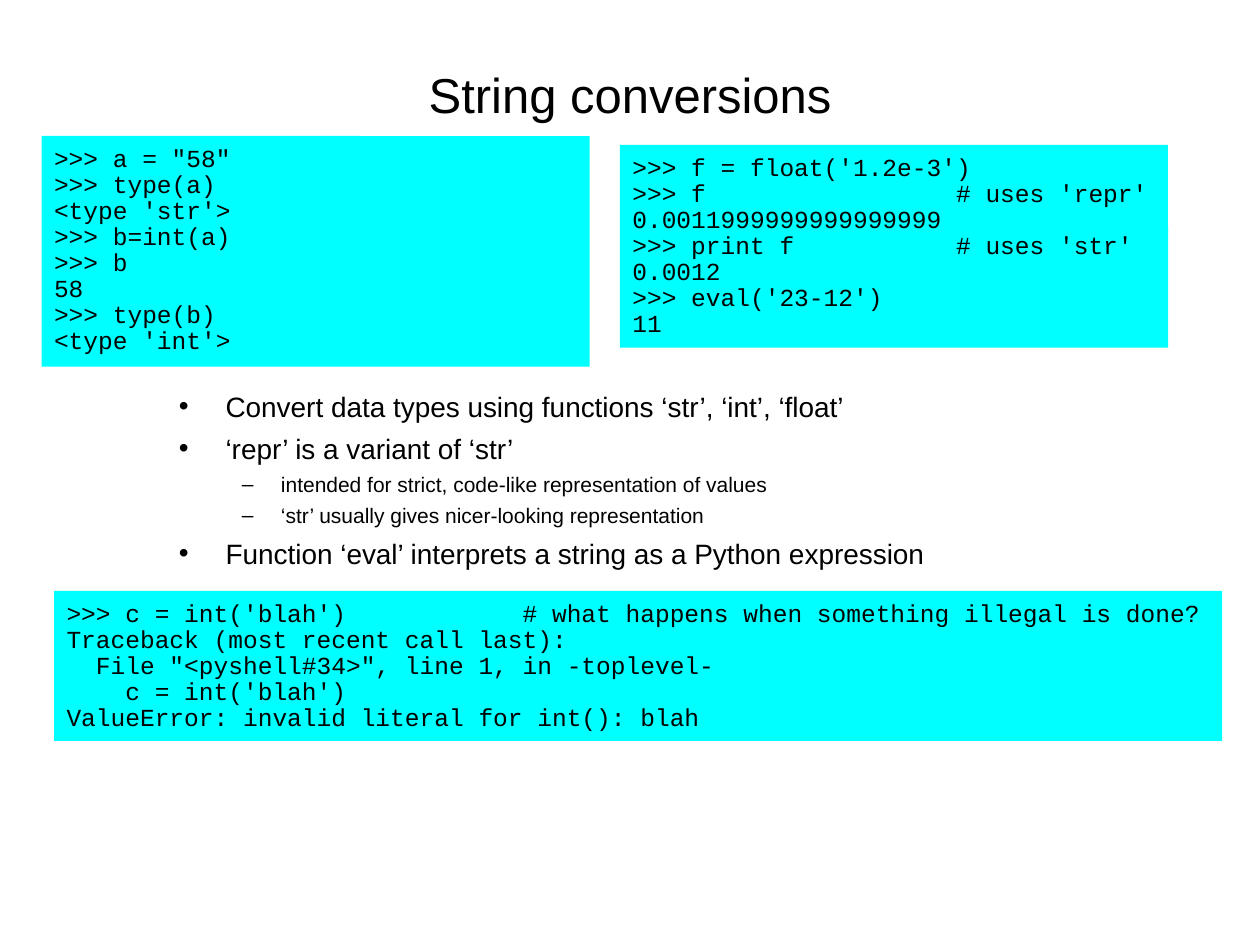
"""Build the slide on string conversions in Python."""
from pptx import Presentation
from pptx.dml.color import RGBColor
from pptx.enum.shapes import MSO_SHAPE
from pptx.enum.text import MSO_ANCHOR, MSO_AUTO_SIZE, PP_ALIGN
from pptx.util import Inches, Pt

TITLE = "String conversions"
POINTS = [
    (0, "Convert data types using functions ‘str’, ‘int’, ‘float’"),
    (0, "‘repr’ is a variant of ‘str’"),
    (1, "intended for strict, code-like representation of values"),
    (1, "‘str’ usually gives nicer-looking representation"),
    (0, "Function ‘eval’ interprets a string as a Python expression"),
]
PANELS = [
    ((0.33, 1.08, 4.35, 1.83), """>>> a = "58"
>>> type(a)
<type 'str'>
>>> b=int(a)
>>> b
58
>>> type(b)
<type 'int'>"""),
    ((0.43, 4.69, 9.27, 1.19), """>>> c = int('blah')            # what happens when something illegal is done?
Traceback (most recent call last):
  File "<pyshell#34>", line 1, in -toplevel-
    c = int('blah')
ValueError: invalid literal for int(): blah"""),
    ((4.92, 1.15, 4.35, 1.61), """>>> f = float('1.2e-3')
>>> f                 # uses 'repr'
0.0011999999999999999
>>> print f           # uses 'str'
0.0012
>>> eval('23-12')
11"""),
]
THEME = {
    "ink": RGBColor(0, 0, 0),
    "panel": RGBColor(0, 255, 255),
    "text": "Arial",
    "code": "Courier New",
    "title": 28,
    "mono": 14,
    "pitch": 14.9,
    "lead": 1.04,
    "levels": [
        {"size": 16, "gap": 4, "left": 0.37, "hang": 0.37},
        {"size": 12, "gap": 3, "left": 0.81, "hang": 0.31},
    ],
}


def place(shape, box):
    shape.left, shape.top, shape.width, shape.height = map(Inches, box)


def pad(frame, side, top):
    frame.margin_left = frame.margin_right = Inches(side)
    frame.margin_top = frame.margin_bottom = Inches(top)
    frame.word_wrap = True
    frame.auto_size = MSO_AUTO_SIZE.NONE


def style(para, face, size):
    for run in para.runs:
        run.font.name = THEME[face]
        run.font.size = Pt(size)
        run.font.color.rgb = THEME["ink"]


def add_title(slide):
    title = slide.shapes.title
    place(title, (0.75, 0.44, 8.5, 0.59))
    frame = title.text_frame
    pad(frame, 0, 0)
    frame.vertical_anchor = MSO_ANCHOR.MIDDLE
    frame.text = TITLE
    para = frame.paragraphs[0]
    para.alignment = PP_ALIGN.CENTER
    para.line_spacing = THEME["lead"]
    style(para, "text", THEME["title"])


def add_points(slide):
    body = slide.placeholders[1]
    place(body, (1.42, 3.08, 6.33, 1.45))
    frame = body.text_frame
    pad(frame, 0, 0)
    frame.vertical_anchor = MSO_ANCHOR.TOP
    frame.text = "\n".join(text for _, text in POINTS)
    for i, (para, (level, _)) in enumerate(zip(frame.paragraphs, POINTS)):
        look = THEME["levels"][level]
        para.level = level
        para.line_spacing = THEME["lead"]
        para.space_before = Pt(look["gap"] if i else 0)
        props = para._p.get_or_add_pPr()
        props.set("marL", str(Inches(look["left"])))
        props.set("indent", str(-Inches(look["hang"])))
        style(para, "text", look["size"])


def add_panel(slide, box, code):
    panel = slide.shapes.add_shape(MSO_SHAPE.ROUNDED_RECTANGLE, *map(Inches, box))
    panel.adjustments[0] = 0.001
    panel.shadow.inherit = False
    panel.fill.solid()
    panel.fill.fore_color.rgb = THEME["panel"]
    panel.line.fill.background()
    frame = panel.text_frame
    pad(frame, 0.1, 0.08)
    frame.vertical_anchor = MSO_ANCHOR.TOP
    frame.text = code
    for para in frame.paragraphs:
        para.alignment = PP_ALIGN.LEFT
        para.line_spacing = Pt(THEME["pitch"])
        style(para, "code", THEME["mono"])


def main():
    deck = Presentation()
    deck.slide_width, deck.slide_height = Inches(10), Inches(7.5)
    slide = deck.slides.add_slide(deck.slide_layouts[1])
    add_title(slide)
    add_points(slide)
    for box, code in PANELS:
        add_panel(slide, box, code)
    deck.save("out.pptx")


if __name__ == "__main__":
    main()
